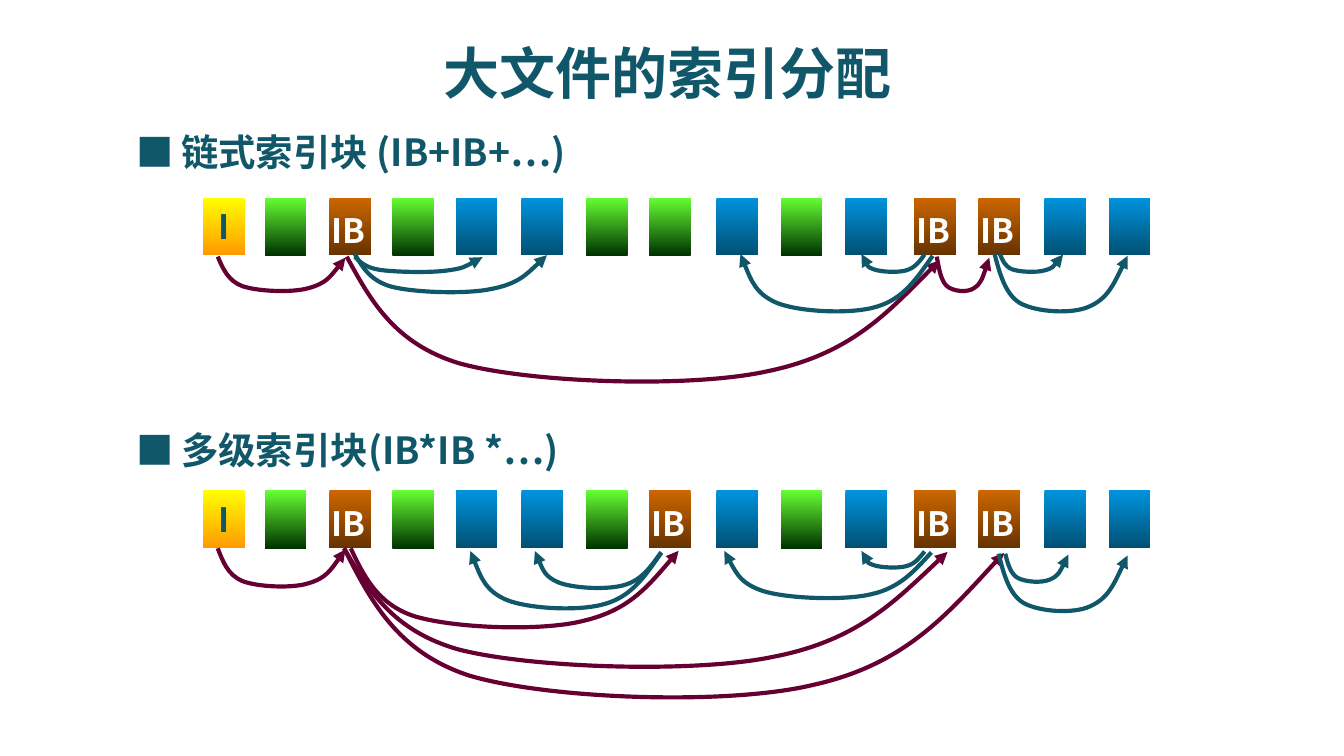
from pptx import Presentation
from pptx.dml.color import RGBColor
from pptx.enum.shapes import MSO_SHAPE as Shape
from pptx.enum.text import MSO_ANCHOR as Anchor, MSO_AUTO_SIZE as AutoSize, PP_ALIGN as Align
from pptx.oxml.xmlchemy import OxmlElement as Element
from pptx.util import Inches, Pt

THEME = {
    "font": "Noto Sans CJK SC", "marker_font": "Noto Sans CJK JP",
    "title": 30, "heading": 20, "label": 18, "line": 2.25,
    "teal": "11576A", "white": "FFFFFF", "wine": "660033",
    "blocks": {
        "inode": ("FFFF00", "FF9900"),
        "free": ("66FF33", "003300"),
        "index": ("CC6600", "663300"),
        "data": ("0093DD", "005072"),
    },
}
KINDS = {"N": "inode", "F": "free", "I": "index", "D": "data"}
COLUMNS = [1.51, 1.97, 2.45, 2.92, 3.39, 3.88, 4.36, 4.83, 5.33, 5.81, 6.29, 6.8, 7.28, 7.77, 8.25]
ARC = [(0.04, 0.33), (0.08, 0.66), (0.19, 0.81), (0.31, 0.96), (0.58, 1),
       (0.71, 0.87), (0.85, 0.74), (0.92, 0.39), (1, 0.03)]

SECTIONS = [
    {
        "heading": "链式索引块 (IB+IB+…)", "heading_top": 0.91,
        "block_top": 1.47, "blocks": "NFIFDDFFDFDIIDD",
        "arcs": [
            (1.62, 1.91, 0.95, 0.27, "wine", "tail"),
            (6.97, 1.91, 0.39, 0.27, "wine", "tail"),
            (2.58, 1.91, 4.41, 0.98, "wine", "tail"),
            (2.64, 1.91, 0.95, 0.12, "teal", "tail"),
            (2.64, 1.89, 1.43, 0.3, "teal", "tail"),
            (5.51, 1.89, 1.43, 0.45, "teal", "head"),
            (6.41, 1.89, 0.47, 0.14, "teal", "head"),
            (7.44, 1.89, 0.47, 0.14, "teal", "tail"),
            (7.4, 1.89, 0.99, 0.45, "teal", "tail"),
        ],
    },
    {
        "heading": "多级索引块(IB*IB *…)", "heading_top": 3.13,
        "block_top": 3.65, "blocks": "NFIFDDFIDFDIIDD",
        "arcs": [
            (1.62, 4.08, 0.95, 0.3, "wine", "tail"),
            (2.61, 4.08, 2.44, 0.62, "wine", "tail"),
            (2.56, 4.08, 4.49, 0.93, "wine", "tail"),
            (2.56, 4.08, 4.91, 1.17, "wine", "tail"),
            (7.48, 4.12, 0.47, 0.22, "teal", "tail"),
            (7.43, 4.12, 0.96, 0.45, "teal", "tail"),
            (5.39, 4.1, 1.54, 0.37, "teal", "head"),
            (6.41, 4.1, 0.47, 0.13, "teal", "head"),
            (3.98, 4.1, 0.94, 0.29, "teal", "head"),
            (3.5, 4.1, 1.42, 0.45, "teal", "head"),
        ],
    },
]


def write_text(shape, text, size, color="teal", font="font", align=Align.LEFT, anchor=Anchor.TOP):
    frame_format = {"word_wrap": True, "auto_size": AutoSize.NONE, "vertical_anchor": anchor}
    for name, value in frame_format.items():
        setattr(shape.text_frame, name, value)
    para = shape.text_frame.paragraphs[0]
    para.alignment = align
    span = para.add_run()
    span.text = text
    font_format = {"name": THEME[font], "size": Pt(THEME[size]), "bold": True}
    for name, value in font_format.items():
        setattr(span.font, name, value)
    span.font.color.rgb = RGBColor.from_string(THEME[color])
    east_asian = Element("a:ea")
    east_asian.set("typeface", THEME[font])
    span.font._element.append(east_asian)


def add_arc(page, left, top, width, height, color, arrow_end):
    builder = page.shapes.build_freeform(Inches(left), Inches(top))
    points = [(Inches(left + x * width), Inches(top + y * height)) for x, y in ARC]
    builder.add_line_segments(points, close=False)
    arc = builder.convert_to_shape()
    arc.shadow.inherit = False
    arc.fill.background()
    arc.line.color.rgb = RGBColor.from_string(THEME[color])
    arc.line.width = Pt(THEME["line"])
    segments = arc._element.xpath(".//a:lnTo")
    for start in range(0, len(segments), 3):
        curve = Element("a:cubicBezTo")
        segments[start].addprevious(curve)
        for segment in segments[start:start + 3]:
            curve.append(segment[0])
            segment.getparent().remove(segment)
    arrowhead = Element(f"a:{arrow_end}End")
    arrowhead.set("type", "triangle")
    arc._element.xpath(".//a:ln")[0].append(arrowhead)


deck = Presentation()
deck.slide_width = Inches(10)
deck.slide_height = deck.slide_width * 9 // 16
page = deck.slides.add_slide(deck.slide_layouts[5])

title = page.shapes.title
title_place = {"left": 0.47, "top": 0.26, "width": 9, "height": 0.56}
for name, value in title_place.items():
    setattr(title, name, Inches(value))
write_text(title, "大文件的索引分配", "title", align=Align.CENTER, anchor=Anchor.MIDDLE)

for section in SECTIONS:
    heading_top = Inches(section["heading_top"])
    heading = page.shapes.add_textbox(Inches(1.25), heading_top, Inches(3.44), Inches(0.47))
    write_text(heading, section["heading"], "heading")
    marker = page.shapes.add_textbox(Inches(0.92), heading_top, Inches(0.47), Inches(0.44))
    write_text(marker, "■", "heading", font="marker_font")

    block_top = section["block_top"]
    for left, letter in zip(COLUMNS, section["blocks"]):
        kind = KINDS[letter]
        block = page.shapes.add_shape(
            Shape.RECTANGLE, Inches(left), Inches(block_top), Inches(0.31), Inches(0.43))
        block.shadow.inherit = False
        block.line.fill.background()
        block.fill.gradient()
        block.fill.gradient_angle = 270
        for stop, color in zip(block.fill.gradient_stops, THEME["blocks"][kind]):
            stop.color.rgb = RGBColor.from_string(color)
        if kind == "inode":
            write_text(block, "I", "label", align=Align.CENTER, anchor=Anchor.MIDDLE)
        elif kind == "index":
            label = page.shapes.add_textbox(
                Inches(left - 0.08), Inches(block_top + 0.04), Inches(0.63), Inches(0.39))
            write_text(label, "IB", "label", color="white")

    for arc in section["arcs"]:
        add_arc(page, *arc)

deck.save("out.pptx")
